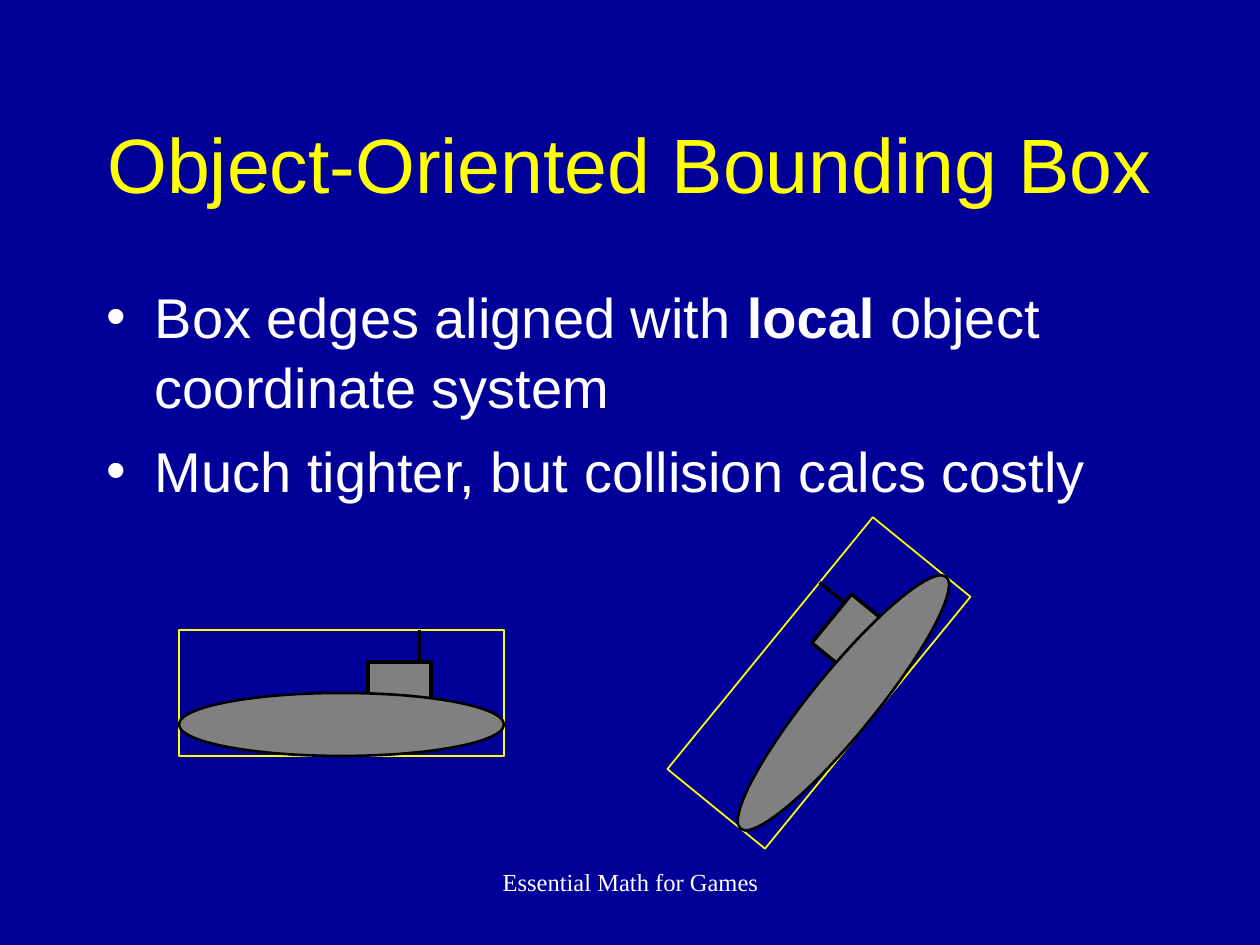
from math import cos, radians, sin

from lxml.etree import SubElement
from pptx import Presentation
from pptx.dml.color import RGBColor
from pptx.enum.shapes import MSO_CONNECTOR as Connector, MSO_SHAPE as Shape
from pptx.enum.text import MSO_ANCHOR as Anchor, MSO_AUTO_SIZE as AutoSize, PP_ALIGN as Align
from pptx.oxml.ns import qn
from pptx.util import Inches, Pt

NAVY = RGBColor(0x00, 0x00, 0x99)
YELLOW = RGBColor(0xFF, 0xFF, 0x00)
WHITE = RGBColor(0xFF, 0xFF, 0xFF)
GRAY = RGBColor(0x80, 0x80, 0x80)
BLACK = RGBColor(0x00, 0x00, 0x00)


def add_run(paragraph, text, size, color, font_name="Arial", bold=False):
    run = paragraph.add_run()
    run.text = text
    run.font.name = font_name
    run.font.size = Pt(size)
    run.font.bold = bold
    run.font.color.rgb = color


def add_part(shapes, kind, center, size, angle, fill, line, line_width):
    (x, y), (width, height) = center, size
    shape = shapes.add_shape(kind, Inches(x - width / 2), Inches(y - height / 2),
                             Inches(width), Inches(height))
    shape.rotation = angle
    shape.shadow.inherit = False
    if fill is None:
        shape.fill.background()
    else:
        shape.fill.solid()
        shape.fill.fore_color.rgb = fill
    shape.line.color.rgb = line
    shape.line.width = Pt(line_width)


presentation = Presentation()
presentation.slide_width = Inches(10)
presentation.slide_height = Inches(7.5)
slide = presentation.slides.add_slide(presentation.slide_layouts[5])
slide.background.fill.solid()
slide.background.fill.fore_color.rgb = NAVY

title = slide.shapes.title
title.left, title.top = Inches(0.75), Inches(0.67)
title.width, title.height = Inches(8.5), Inches(1.25)
title.text_frame.auto_size = AutoSize.NONE
title.text_frame.word_wrap = True
title.text_frame.vertical_anchor = Anchor.MIDDLE
title_paragraph = title.text_frame.paragraphs[0]
title_paragraph.alignment = Align.CENTER
add_run(title_paragraph, "Object-Oriented Bounding Box", 44, YELLOW)

body = slide.shapes.add_textbox(Inches(0.75), Inches(2.17), Inches(8.5), Inches(4.5))
body_frame = body.text_frame
body_frame.word_wrap = True
bullets = [
    [("Box edges aligned with ", False), ("local", True), (" object coordinate system", False)],
    [("Much tighter, but collision calcs costly", False)],
]
for index, parts in enumerate(bullets):
    paragraph = body_frame.add_paragraph() if index else body_frame.paragraphs[0]
    paragraph.line_spacing = 1.04
    if index:
        paragraph.space_before = Pt(8)
    properties = paragraph._p.get_or_add_pPr()
    properties.set("marL", str(Inches(0.38)))
    properties.set("indent", str(Inches(-0.38)))
    SubElement(properties, qn("a:buFont")).set("typeface", "Arial")
    SubElement(properties, qn("a:buChar")).set("char", "•")
    for text, bold in parts:
        add_run(paragraph, text, 32, WHITE, bold=bold)

for center_x, center_y, angle in [(2.71, 5.5, 0), (6.5, 5.42, 309.2)]:
    cosine, sine = cos(radians(angle)), sin(radians(angle))
    antenna_top, antenna_base, tower_center, hull_center = [
        (center_x + x * cosine - y * sine, center_y + x * sine + y * cosine)
        for x, y in [(0.62, -0.5), (0.62, -0.08), (0.46, -0.08), (0, 0.25)]
    ]
    add_part(slide.shapes, Shape.RECTANGLE, (center_x, center_y), (2.58, 1),
             angle, None, YELLOW, 1)
    submarine = slide.shapes.add_group_shape().shapes
    antenna = submarine.add_connector(
        Connector.STRAIGHT, *[Inches(value) for value in antenna_top + antenna_base])
    antenna.line.color.rgb = BLACK
    antenna.line.width = Pt(2)
    SubElement(antenna._element.spPr, qn("a:effectLst"))
    add_part(submarine, Shape.RECTANGLE, tower_center, (0.5, 0.33), angle, GRAY, BLACK, 2)
    add_part(submarine, Shape.OVAL, hull_center, (2.58, 0.5), angle, GRAY, BLACK, 1.5)

footer = slide.shapes.add_textbox(Inches(3.42), Inches(6.83), Inches(3.17), Inches(0.5))
footer.text_frame.word_wrap = True
footer_paragraph = footer.text_frame.paragraphs[0]
footer_paragraph.alignment = Align.CENTER
add_run(footer_paragraph, "Essential Math for Games", 14, WHITE, "Times New Roman")

presentation.save("out.pptx")
